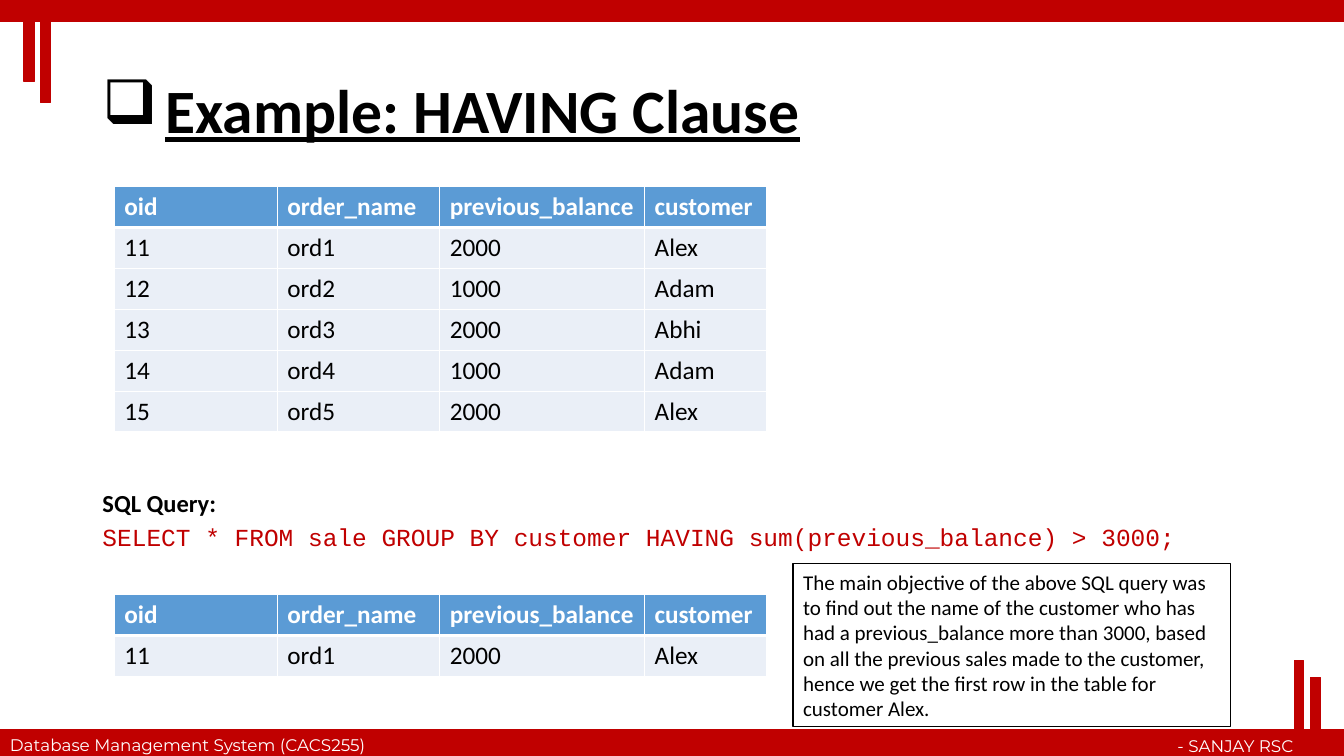
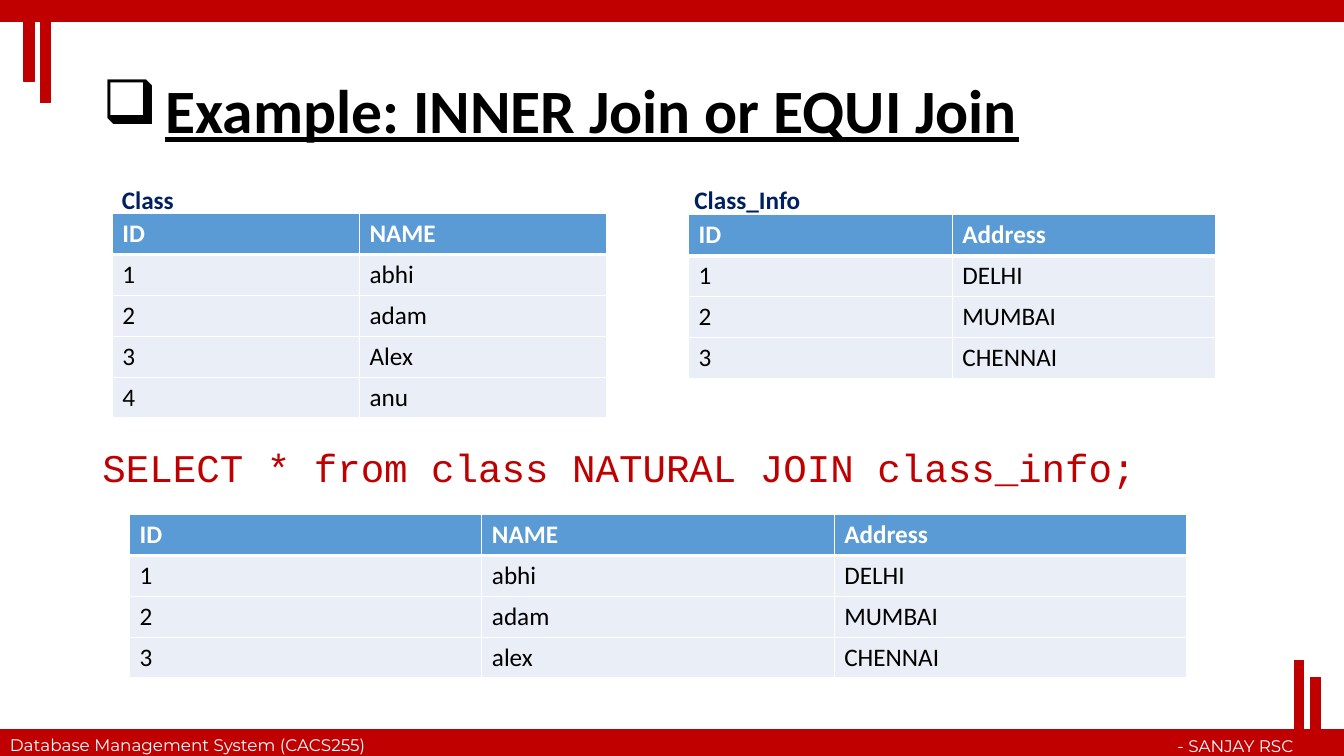
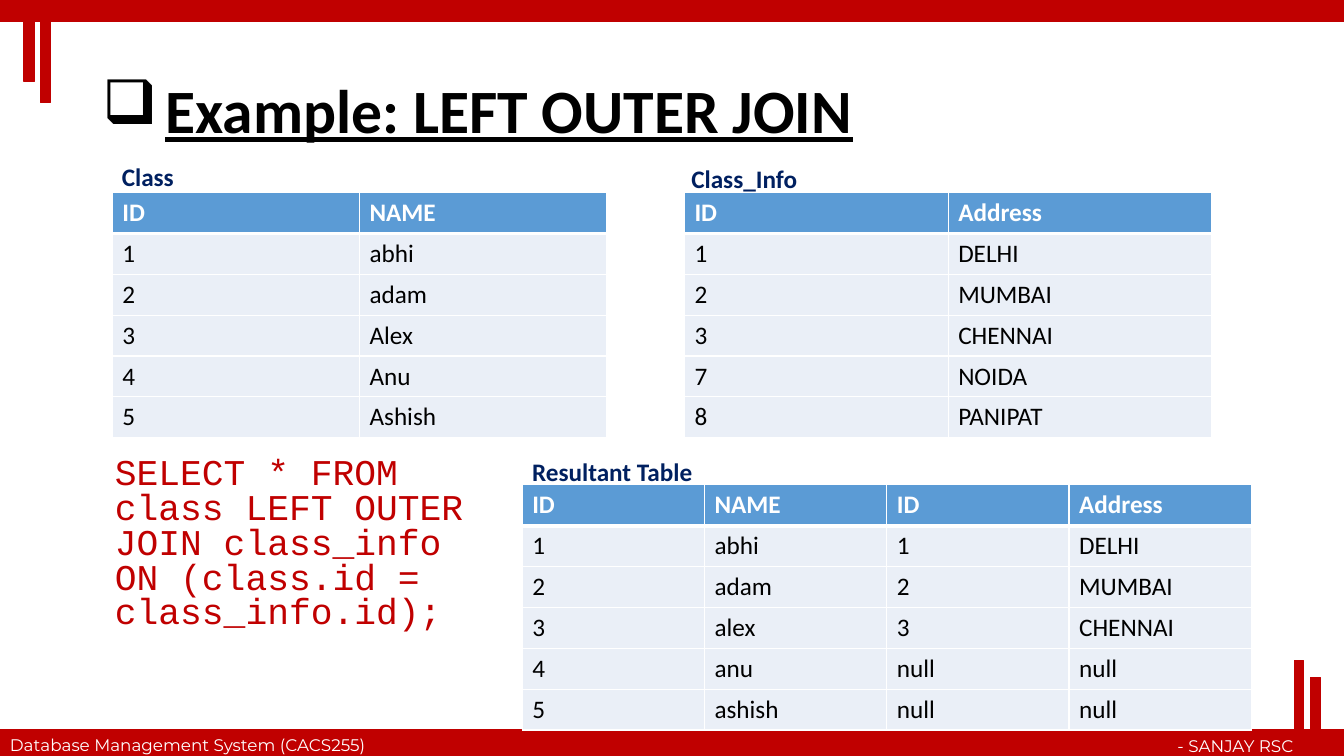
import pptx
import pptx.dml.color
import pptx.enum.shapes
import pptx.enum.text
import pptx.oxml
import pptx.oxml.ns
import pptx.util

Pt = pptx.util.Pt
ALIGN = pptx.enum.text.PP_ALIGN
ANCHOR = pptx.enum.text.MSO_ANCHOR
FIT = pptx.enum.text.MSO_AUTO_SIZE
RECTANGLE = pptx.enum.shapes.MSO_SHAPE.RECTANGLE

# Shared look
RED, NAVY, BLUE, PALE = "C00000", "002060", "5B9BD5", "EAEFF7"
BLACK, WHITE = "000000", "FFFFFF"
SANS, MONO, FOOTER_FONT = "Calibri", "Courier New", "Montserrat"
WIDTH, HEIGHT = 960, 540
ROW_HEIGHT = 29.2
BANDS = [
    (0, 521.3, WIDTH, 18.7),
    (0, 0, WIDTH, 15.1),
    (28.8, 0.7, 7.2, 72.7),
    (17.3, 2.2, 7.2, 56.2),
    (924.5, 471.6, 6.5, 67.7),
    (936, 483.8, 7.2, 56.2),
]


def color(hex_string):
    return pptx.dml.color.RGBColor.from_string(hex_string)


def lengths(values):
    return [Pt(value) for value in values]


def format_para(para, size, font=SANS, hex_color=BLACK, bold=False, align=ALIGN.LEFT):
    para.alignment = align
    for span in para.runs:
        span.font.name = font
        span.font.size = Pt(size)
        span.font.bold = bold
        span.font.color.rgb = color(hex_color)


def set_bullet(para, indent=0, char=None):
    properties = para._p.get_or_add_pPr()
    properties.set("marL", str(Pt(indent)))
    properties.set("indent", str(-Pt(indent)))
    tag = f'a:buChar char="{char}"' if char else "a:buNone"
    namespace = pptx.oxml.ns.nsdecls("a")
    properties.append(pptx.oxml.parse_xml(f"<{tag} {namespace}/>"))


def place(shape, frame):
    shape.left, shape.top, shape.width, shape.height = lengths(frame)


def add_rectangle(page, frame, fill, line):
    box = page.shapes.add_shape(RECTANGLE, *lengths(frame))
    box.shadow.inherit = False
    box.fill.solid()
    box.fill.fore_color.rgb = color(fill)
    box.line.color.rgb = color(line)
    box.line.width = Pt(1)
    return box


def add_text(page, frame, text, size, **style):
    box = page.shapes.add_textbox(*lengths(frame))
    box.text_frame.word_wrap = True
    box.text_frame.auto_size = FIT.SHAPE_TO_FIT_TEXT
    box.text_frame.text = text
    format_para(box.text_frame.paragraphs[0], size, **style)


def add_caption(page, left, top, text, width=104.4):
    add_text(page, (left, top, width, 29), text, 18, hex_color=NAVY, bold=True)


def add_page(deck, title):
    """Page with bands, footer and a bulleted, underlined title."""
    page = deck.slides.add_slide(deck.slide_layouts[1])
    for frame in BANDS:
        add_rectangle(page, frame, RED, RED)
    footer = {"font": FOOTER_FONT, "hex_color": WHITE}
    add_text(page, (0, 521.3, 299.5, 21.8), "Database Management System (CACS255)",
             12, **footer)
    add_text(page, (698.4, 522, 232.6, 21.8), "- SANJAY RSC",
             12, align=ALIGN.RIGHT, **footer)

    heading = page.shapes.title
    place(heading, (66, 28.8, 828, 104.4))
    frame = heading.text_frame
    frame.text = title
    frame.auto_size = FIT.NONE
    frame.vertical_anchor = ANCHOR.MIDDLE
    para = frame.paragraphs[0]
    format_para(para, 44, bold=True)
    para.runs[0].font.underline = True
    para.line_spacing = 0.9
    set_bullet(para, 45, "\u2751")
    return page


def fill_body(page, frame, lines, size, spacing):
    """Lines are (text, style) pairs."""
    body = page.placeholders[1]
    place(body, frame)
    body.text_frame.text = "\n".join(text for text, style in lines)
    body.text_frame.auto_size = FIT.NONE
    for para, (text, style) in zip(body.text_frame.paragraphs, lines):
        format_para(para, size, **style)
        para.line_spacing = spacing
        para.space_before = Pt(10)
        set_bullet(para)


def set_borders(cell, top, bottom):
    properties = cell._tc.get_or_add_tcPr()
    for side, width in (("L", 1), ("R", 1), ("T", top), ("B", bottom)):
        properties.append(pptx.oxml.parse_xml(
            f'<a:ln{side} {pptx.oxml.ns.nsdecls("a")} w="{Pt(width)}">'
            f'<a:solidFill><a:srgbClr val="{WHITE}"/></a:solidFill></a:ln{side}>'))


def add_grid(page, left, top, widths, rows):
    """Table from rows of comma-separated values; the first is the header."""
    frame = (left, top, sum(widths), ROW_HEIGHT * len(rows))
    table = page.shapes.add_table(len(rows), len(widths), *lengths(frame)).table
    table.horz_banding = False
    for column, width in zip(table.columns, widths):
        column.width = Pt(width)
    for index, row in enumerate(rows):
        header = index == 0
        table.rows[index].height = Pt(ROW_HEIGHT)
        for cell, text in zip(table.rows[index].cells, row.split(",")):
            cell.text = text
            format_para(cell.text_frame.paragraphs[0], 18, bold=header,
                        hex_color=WHITE if header else BLACK)
            set_borders(cell, 3 if index == 1 else 1, 3 if header else 1)
            cell.fill.solid()
            cell.fill.fore_color.rgb = color(BLUE if header else PALE)


def add_note(page, frame, text):
    box = add_rectangle(page, frame, WHITE, BLACK)
    box.text_frame.word_wrap = True
    box.text_frame.auto_size = FIT.SHAPE_TO_FIT_TEXT
    box.text_frame.text = text
    format_para(box.text_frame.paragraphs[0], 15)


CODE = {"font": MONO, "hex_color": RED}


def build_having(deck):
    page = add_page(deck, "Example: HAVING Clause")
    fill_body(page, (66, 350.6, 828, 58.3), [
        ("SQL Query:", {"bold": True}),
        ("SELECT * FROM sale GROUP BY customer HAVING sum(previous_balance) > 3000;", CODE),
    ], 17.5, 0.7)
    widths = (116.4, 116, 146.4, 87.2)
    header, first = "oid,order_name,previous_balance,customer", "11,ord1,2000,Alex"
    add_grid(page, 81.7, 133.4, widths, [
        header, first, "12,ord2,1000,Adam", "13,ord3,2000,Abhi",
        "14,ord4,1000,Adam", "15,ord5,2000,Alex"])
    add_grid(page, 81.7, 424.8, widths, [header, first])
    add_note(page, (566.6, 402.5, 312.5, 116.6),
             "The main objective of the above SQL query was to find out the name of "
             "the customer who has had a previous_balance more than 3000, based on all "
             "the previous sales made to the customer, hence we get the first row in "
             "the table for customer Alex.")


def build_inner_join(deck):
    page = add_page(deck, "Example: INNER Join or EQUI Join")
    fill_body(page, (66, 316.8, 828, 54.7),
              [("SELECT * from class NATURAL JOIN class_info;", CODE)], 28, 0.9)
    add_grid(page, 80.2, 152.6, [176.6] * 2,
             ["ID,NAME", "1,abhi", "2,adam", "3,Alex", "4,anu"])
    add_grid(page, 491.8, 153.4, [188.4] * 2,
             ["ID,Address", "1,DELHI", "2,MUMBAI", "3,CHENNAI"])
    add_caption(page, 79.9, 128.2, "Class")
    add_caption(page, 488.9, 128.2, "Class_Info")
    add_grid(page, 92.5, 367.5, [251.7] * 3,
             ["ID,NAME,Address", "1,abhi,DELHI", "2,adam,MUMBAI", "3,alex,CHENNAI"])


def build_left_join(deck):
    page = add_page(deck, "Example: LEFT OUTER JOIN")
    fill_body(page, (74.9, 323.3, 291.6, 136.8),
              [("SELECT * FROM class LEFT OUTER JOIN class_info "
                "ON (class.id = class_info.id);", CODE)], 25.9, 0.8)
    add_grid(page, 80.2, 137.5, [176.6] * 2,
             ["ID,NAME", "1,abhi", "2,adam", "3,Alex", "4,Anu", "5,Ashish"])
    add_grid(page, 488.9, 137.5, [188.4] * 2,
             ["ID,Address", "1,DELHI", "2,MUMBAI", "3,CHENNAI", "7,NOIDA", "8,PANIPAT"])
    add_caption(page, 79.9, 111.6, "Class")
    add_caption(page, 486.7, 113, "Class_Info")
    add_grid(page, 373, 346.3, [130.2] * 4,
             ["ID,NAME,ID,Address", "1,abhi,1,DELHI", "2,adam,2,MUMBAI",
              "3,alex,3,CHENNAI", "4,anu,null,null", "5,ashish,null,null"])
    add_caption(page, 373, 322.6, "Resultant Table", 146.2)


def main():
    deck = pptx.Presentation()
    deck.slide_width, deck.slide_height = lengths((WIDTH, HEIGHT))
    build_having(deck)
    build_inner_join(deck)
    build_left_join(deck)
    deck.save("out.pptx")


main()
